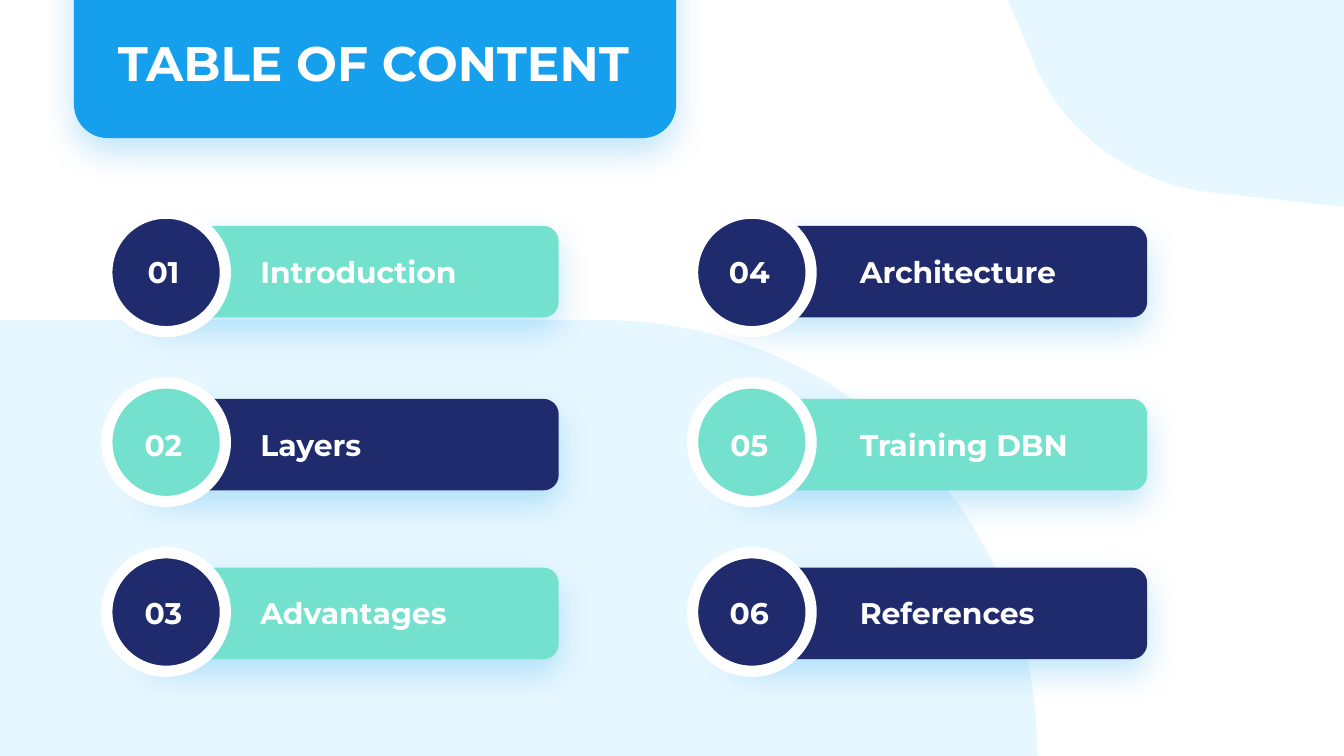
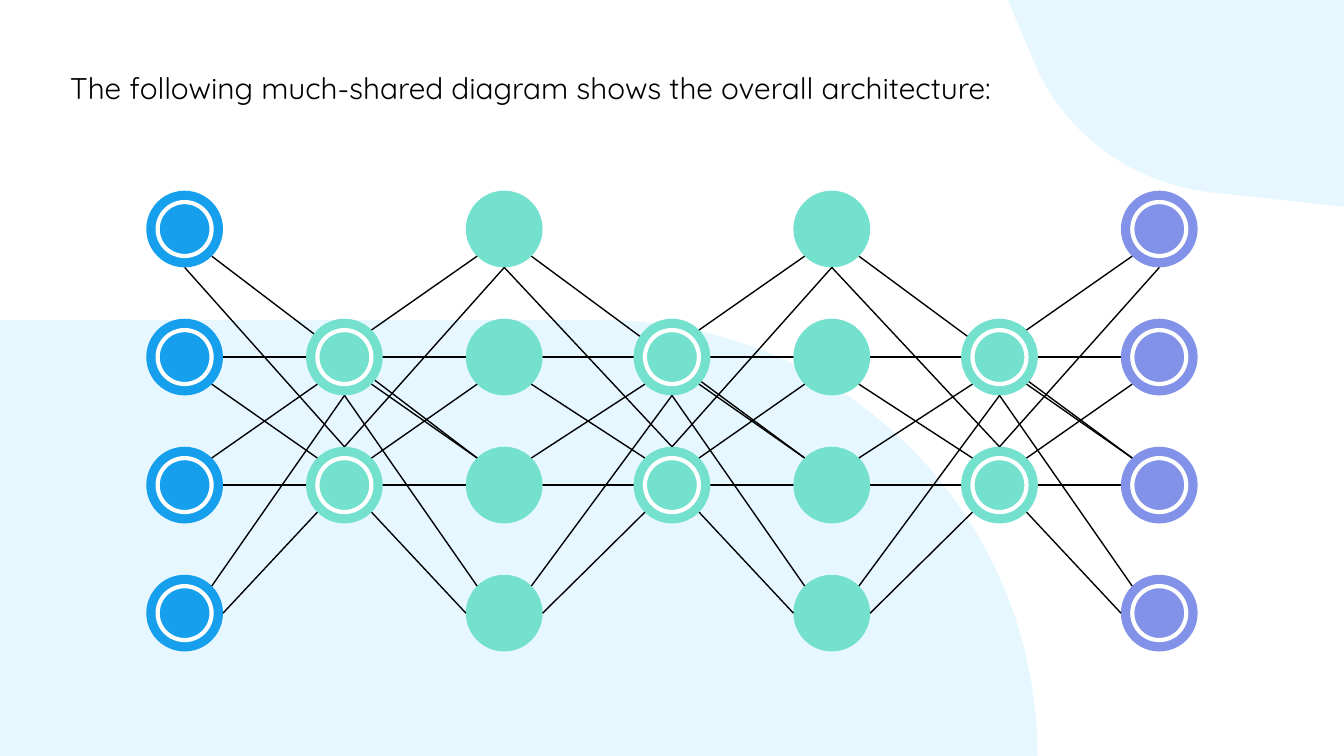
from itertools import accumulate
from math import sqrt

from lxml import etree
from pptx import Presentation
from pptx.dml.color import RGBColor
from pptx.enum.shapes import MSO_CONNECTOR as Connector
from pptx.enum.shapes import MSO_SHAPE as Shape
from pptx.enum.text import MSO_ANCHOR as Anchor
from pptx.enum.text import PP_ALIGN as Align
from pptx.oxml import parse_xml
from pptx.oxml.ns import nsdecls, qn
from pptx.util import Cm, Pt

# Shared look
WHITE = RGBColor(0xFF, 0xFF, 0xFF)
BLACK = RGBColor(0x00, 0x00, 0x00)
PALE_BLUE = RGBColor(0xE7, 0xF7, 0xFF)
BLUE = RGBColor(0x15, 0x9F, 0xED)
NAVY = RGBColor(0x1F, 0x2B, 0x6C)
MINT = RGBColor(0x73, 0xE1, 0xCD)
VIOLET = RGBColor(0x82, 0x92, 0xE8)
HEADING_FONT = "Montserrat"
BODY_FONT = "Quicksand"
SLIDE_WIDTH, SLIDE_HEIGHT = 25.4, 14.29

# Contents: circle, bar and label left edges of each column
COLUMNS = [(2.02, 2.74, 4.67), (13.09, 13.86, 16.0)]
BAR_TOPS = [4.27, 7.54, 10.73]
CIRCLE_TOP, CIRCLE_STEP, CIRCLE_SIZE = 4.03, 3.21, 2.24
BAR_WIDTH, BAR_HEIGHT = 7.82, 1.73
ENTRIES = [  # text, bar colour, circle colour
    ("Introduction", MINT, NAVY),
    ("Layers", NAVY, MINT),
    ("Advantages", MINT, NAVY),
    ("Architecture", NAVY, NAVY),
    ("Training DBN", MINT, MINT),
    ("References", NAVY, NAVY),
]

# Network: column centres and rows, relative to the first node's centre
NODE_SIZE, RING_SIZE, ROW_STEP = 1.45, 1.02, 2.42
COLUMN_X = list(accumulate([0, 3.02, 3.02, 3.17, 3.02, 3.17, 3.02]))
OUTER_ROWS, INNER_ROWS = range(4), range(1, 3)
COLUMN_COLORS = [BLUE] + [MINT] * 5 + [VIOLET]

# Points on a node's edge; x is positive towards the facing column
DIAGONAL = 1 / sqrt(2)
TOP, BOTTOM, FRONT = (0, -1), (0, 1), (1, 0)
FRONT_UP, FRONT_DOWN = (DIAGONAL, -DIAGONAL), (DIAGONAL, DIAGONAL)
LINKS = [  # outer row, its edge point, inner row, its edge point
    (0, BOTTOM, 2, TOP),
    (1, FRONT_DOWN, 2, FRONT_UP),
    (2, FRONT_UP, 1, FRONT_DOWN),
    (3, FRONT, 2, FRONT_DOWN),
    (3, FRONT_UP, 1, BOTTOM),
]
TOP_LINK = (0, FRONT_DOWN, 1, FRONT_UP)


def paint(shape, fill=None, line=None, line_width=0):
    shape.shadow.inherit = False
    if fill is None:
        shape.fill.background()
    else:
        shape.fill.solid()
        shape.fill.fore_color.rgb = fill
    if line is None:
        shape.line.fill.background()
    else:
        shape.line.color.rgb = line
        shape.line.width = Pt(line_width)


def add_figure(slide, kind, left, top, width, height, **look):
    shape = slide.shapes.add_shape(kind, Cm(left), Cm(top), Cm(width), Cm(height))
    paint(shape, **look)
    return shape


def add_card(slide, left, top, width, height, fill, rounding):
    """Rounded rectangle with a soft blue shadow below it."""
    card = add_figure(slide, Shape.ROUNDED_RECTANGLE, left, top, width, height, fill=fill)
    card.adjustments[0] = rounding
    effects = card._element.spPr.find(qn("a:effectLst"))
    effects.append(parse_xml(
        f'<a:outerShdw {nsdecls("a")} blurRad="{Pt(18)}" dist="{Pt(7.5)}" dir="5400000" '
        f'algn="bl" rotWithShape="0"><a:srgbClr val="{BLUE}"><a:alpha val="25000"/>'
        "</a:srgbClr></a:outerShdw>"))


def add_text(slide, text, left, top, width, height, size=16, font=HEADING_FONT, color=WHITE,
             bold=True, align=Align.LEFT, anchor=Anchor.TOP, space_after=0):
    frame = slide.shapes.add_textbox(Cm(left), Cm(top), Cm(width), Cm(height)).text_frame
    frame.word_wrap = True
    frame.vertical_anchor = anchor
    frame.margin_left = frame.margin_right = frame.margin_top = frame.margin_bottom = Cm(0.25)
    paragraph = frame.paragraphs[0]
    paragraph.alignment = align
    paragraph.space_after = Pt(space_after)
    run = paragraph.add_run()
    run.text = text
    run.font.size, run.font.name, run.font.bold = Pt(size), font, bold
    run.font.color.rgb = color


def add_line(slide, start, end):
    line = slide.shapes.add_connector(Connector.STRAIGHT, *map(Cm, start + end))
    line.line.color.rgb = BLACK
    line.line.width = Pt(0.75)
    etree.SubElement(line._element.spPr, qn("a:effectLst"))


def curve(start, control_1, control_2, end, steps=40):
    """Points along a cubic curve."""
    points = []
    for step in range(steps + 1):
        t = step / steps
        weights = ((1 - t) ** 3, 3 * t * (1 - t) ** 2, 3 * t * t * (1 - t), t ** 3)
        points.append(tuple(
            sum(weight * value for weight, value in zip(weights, values))
            for values in zip(start, control_1, control_2, end)))
    return points


def add_blob(slide, points):
    first, *rest = [(Cm(x), Cm(y)) for x, y in points]
    builder = slide.shapes.build_freeform(*first)
    builder.add_line_segments(rest, close=True)
    paint(builder.convert_to_shape(), fill=PALE_BLUE)


def add_base_slide(presentation):
    """Blank slide with the two pale corners."""
    slide = presentation.slides.add_slide(presentation.slide_layouts[6])
    add_blob(slide, [(0, 6.05), (0, SLIDE_HEIGHT)] + curve(
        (19.61, SLIDE_HEIGHT), (19.61, 9.73), (15.93, 6.05), (11.38, 6.05)))
    add_blob(slide, [(SLIDE_WIDTH, 3.91), (SLIDE_WIDTH, 0), (19.05, 0)] + curve(
        (19.56, 1.22), (20.14, 2.54), (21.39, 3.45), (22.83, 3.63)))
    return slide


def add_title_tab(slide, text, left, bottom, width, height):
    """Title on a card that hangs from the top edge."""
    add_card(slide, left, bottom - height, width, height, BLUE, 0.086)
    add_text(slide, text, left + 0.58, bottom - 2.23, width - 0.58, 1.6, size=26)


def add_entry(slide, number, entry, column, circle_top, bar_top):
    """Numbered circle overlapping a labelled bar."""
    text, bar_color, circle_color = entry
    circle_left, bar_left, label_left = column
    text_top = bar_top + 0.27
    add_card(slide, bar_left, bar_top, BAR_WIDTH, BAR_HEIGHT, bar_color, 0.167)
    add_figure(slide, Shape.OVAL, circle_left, circle_top, CIRCLE_SIZE, CIRCLE_SIZE,
               fill=circle_color, line=WHITE, line_width=6)
    add_text(slide, f"{number:02}", circle_left + 0.32, text_top, 1.5, 1.17,
             align=Align.CENTER, anchor=Anchor.MIDDLE)
    add_text(slide, text, label_left, text_top, 5.4, 1.17)


def add_contents_slide(presentation):
    slide = add_base_slide(presentation)
    add_title_tab(slide, "TABLE OF CONTENT", 1.4, 2.61, 11.38, 7.44)
    for index, entry in enumerate(ENTRIES):
        column, row = divmod(index, len(BAR_TOPS))
        add_entry(slide, index + 1, entry, COLUMNS[column],
                  CIRCLE_TOP + row * CIRCLE_STEP, BAR_TOPS[row])


def add_network(slide, left, top):
    """Alternating columns of four and two nodes; left, top is the first node's centre."""
    def center(column, row):
        return left + COLUMN_X[column], top + row * ROW_STEP

    def edge(column, row, point, side):
        x, y = center(column, row)
        return x + side * point[0] * NODE_SIZE / 2, y + point[1] * NODE_SIZE / 2

    def add_disc(column, row, size, **look):
        x, y = center(column, row)
        add_figure(slide, Shape.OVAL, x - size / 2, y - size / 2, size, size, **look)

    # Lines running behind the nodes
    last = len(COLUMN_X) - 1
    for column in range(0, last, 2):
        add_line(slide, edge(column, 0, FRONT_DOWN, 1), edge(column + 2, 2, FRONT_UP, -1))
    for row in INNER_ROWS:
        add_line(slide, edge(0, row, FRONT, 1), edge(last, row, FRONT, -1))

    # Nodes, with a ring in the end columns and the inner ones
    for column, color in enumerate(COLUMN_COLORS):
        inner = column % 2 == 1
        for row in INNER_ROWS if inner else OUTER_ROWS:
            add_disc(column, row, NODE_SIZE, fill=color)
            if inner or column in (0, last):
                add_disc(column, row, RING_SIZE, line=WHITE, line_width=2.25)

    # Links from both neighbouring columns to each inner column
    for inner in range(1, last, 2):
        for side, links in ((1, LINKS), (-1, [TOP_LINK] + LINKS)):
            for outer_row, outer_point, inner_row, inner_point in links:
                add_line(slide, edge(inner - side, outer_row, outer_point, side),
                         edge(inner, inner_row, inner_point, -side))


def add_architecture_slide(presentation):
    slide = add_base_slide(presentation)
    add_text(slide, "The following much-shared diagram shows the overall architecture:",
             1.07, 1.07, 18.9, 1.19, font=BODY_FONT, color=BLACK, bold=False, space_after=12)
    add_network(slide, 3.49, 4.33)


def main():
    presentation = Presentation()
    presentation.slide_width, presentation.slide_height = Cm(SLIDE_WIDTH), Cm(SLIDE_HEIGHT)
    add_contents_slide(presentation)
    add_architecture_slide(presentation)
    presentation.save("out.pptx")


if __name__ == "__main__":
    main()
